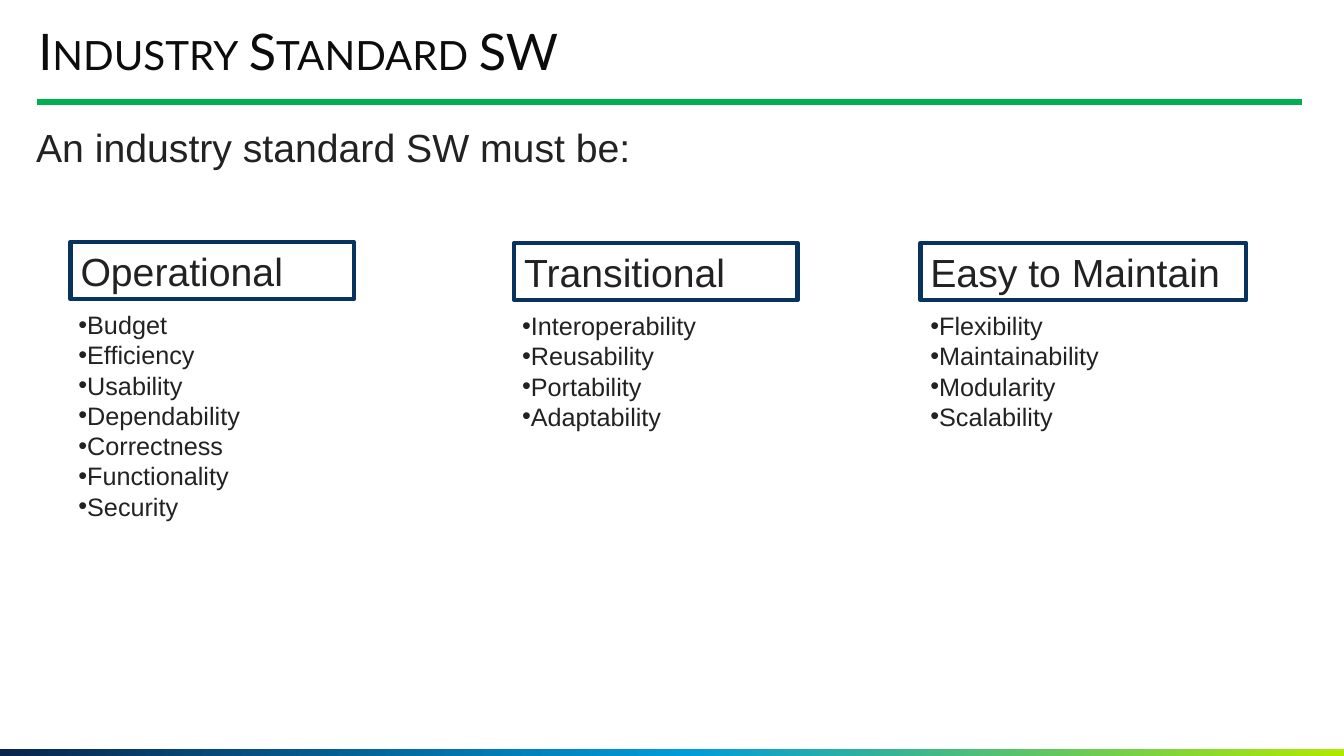
import pptx
import pptx.util
import pptx.dml.color
import pptx.enum.shapes
import pptx.enum.text
import pptx.oxml
import pptx.oxml.ns
import copy
import dataclasses

PX = 9144  # EMU per px, 100 px to the inch
ALIGN = pptx.enum.text.PP_ALIGN
RECTANGLE = pptx.enum.shapes.MSO_SHAPE.RECTANGLE


@dataclasses.dataclass(frozen=True)
class Theme:
    title_font: str = "Lato"
    body_font: str = "Arial"
    title_size: int = 36
    lead_size: int = 28
    list_size: int = 18
    title_ink: str = "0C0C0C"
    body_ink: str = "222222"
    rule: str = "00B050"
    frame: str = "08335F"
    band: tuple = ((0, "09244C"), (51, "009CDA"), (100, "B0E900"))
    line_height: float = 1.2


THEME = Theme()


def px(*lengths):
    return [pptx.util.Emu(length * PX) for length in lengths]


def rgb(code):
    return pptx.dml.color.RGBColor.from_string(code)


def add_bullet(paragraph, color):
    properties = paragraph._p.get_or_add_pPr()
    properties.set("marL", "0")
    properties.set("indent", str(-12 * PX))
    space = pptx.oxml.ns.nsdecls("a")
    for xml in (f'<a:buClr {space}><a:srgbClr val="{color}"/></a:buClr>',
                f'<a:buFont {space} typeface="Arial"/>',
                f'<a:buChar {space} char="•"/>'):
        properties.append(pptx.oxml.parse_xml(xml))


def write(shape, lines, size, font=THEME.body_font, color=THEME.body_ink,
          align=ALIGN.JUSTIFY, spacing=None, margins=(10, 5),
          bullets=False, small_caps=False):
    frame = shape.text_frame
    frame.word_wrap = True
    frame.vertical_anchor = pptx.enum.text.MSO_ANCHOR.TOP
    frame.margin_left = frame.margin_right = px(margins[0])[0]
    frame.margin_top = frame.margin_bottom = px(margins[1])[0]
    frame.text = "\n".join(lines)
    for paragraph in frame.paragraphs:
        paragraph.alignment = align
        paragraph.line_spacing = spacing or pptx.util.Pt(size * THEME.line_height)
        if bullets:
            add_bullet(paragraph, color)
        run = paragraph.runs[0]
        run.font.name = font
        run.font.size = pptx.util.Pt(size)
        run.font.color.rgb = rgb(color)
        if small_caps:
            run.font._element.set("cap", "small")


def add_band(slide, box):
    band = slide.shapes.add_shape(RECTANGLE, *px(*box))
    band.shadow.inherit = False
    band.line.fill.background()
    band.fill.gradient()
    band.fill.gradient_angle = 0
    stops = band.fill._fill._gradFill.gsLst
    stops.insert(1, copy.deepcopy(stops[0]))
    for stop, (position, color) in zip(band.fill.gradient_stops, THEME.band):
        stop.position = position / 100
        stop.color.rgb = rgb(color)


def add_header(slide, box, title):
    left, top, width, height = box
    # Rule under the title
    rule_y = top + height
    rule = slide.shapes.add_connector(
        pptx.enum.shapes.MSO_CONNECTOR.STRAIGHT,
        *px(left, rule_y, left + width, rule_y))
    rule.line.color.rgb = rgb(THEME.rule)
    rule.line.width = pptx.util.Pt(4.5)
    rule._element.spPr.append(pptx.oxml.parse_xml(
        f'<a:effectLst {pptx.oxml.ns.nsdecls("a")}/>'))
    # Title
    heading = slide.shapes.add_textbox(*px(left + 1, top, 1119, 55))
    write(heading, [title], THEME.title_size, font=THEME.title_font,
          color=THEME.title_ink, align=ALIGN.LEFT, spacing=0.9,
          margins=(0, 0), small_caps=True)


def add_lead(slide, box, sentence):
    write(slide.shapes.add_textbox(*px(*box)), [sentence], THEME.lead_size)


def add_quality_group(slide, box, name, qualities, list_shift):
    left, top, width, height = box
    # Framed heading
    heading = slide.shapes.add_shape(RECTANGLE, *px(left, top, width, 57))
    heading.shadow.inherit = False
    heading.fill.background()
    heading.line.color.rgb = rgb(THEME.frame)
    heading.line.width = pptx.util.Pt(3)
    write(heading, [name], THEME.lead_size)
    # Bulleted qualities
    listing = slide.shapes.add_textbox(
        *px(left + list_shift, top + 62, 220, height - 62))
    write(listing, qualities, THEME.list_size, align=ALIGN.LEFT, bullets=True)


GROUPS = [
    ((70, 240, 281, 283), "Operational",
     ["Budget", "Efficiency", "Usability", "Dependability", "Correctness",
      "Functionality", "Security"], -2),
    ((510, 241, 281, 193), "Transitional",
     ["Interoperability", "Reusability", "Portability", "Adaptability"], -2),
    ((913, 241, 323, 193), "Easy to Maintain",
     ["Flexibility", "Maintainability", "Modularity", "Scalability"], 0),
]


def main():
    deck = pptx.Presentation()
    deck.slide_width, deck.slide_height = px(1333, 750)
    slide = deck.slides.add_slide(deck.slide_layouts[6])
    add_band(slide, (0, 743, 1333, 7))
    add_header(slide, (37, 27, 1254, 74), "Industry Standard SW")
    add_lead(slide, (26, 117, 1211, 57), "An industry standard SW must be:")
    for box, name, qualities, list_shift in GROUPS:
        add_quality_group(slide, box, name, qualities, list_shift)
    deck.save("out.pptx")


if __name__ == "__main__":
    main()
